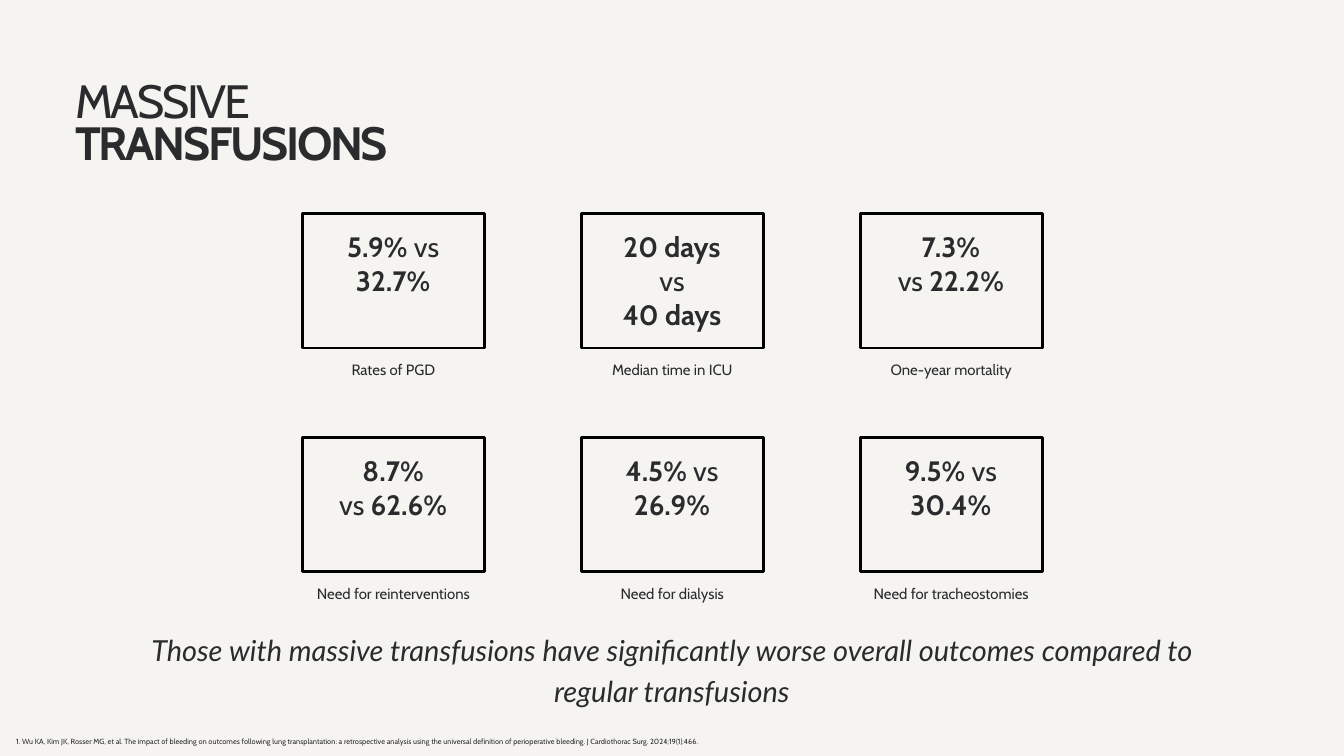
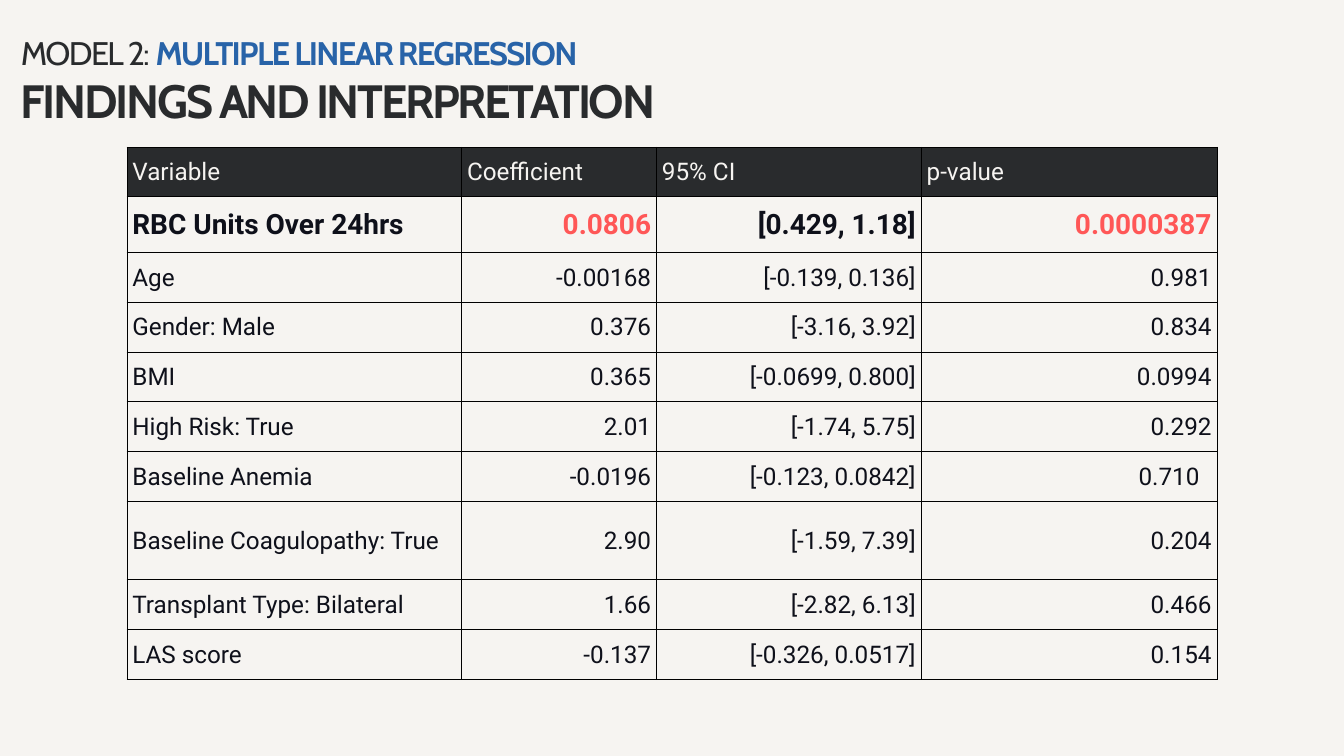
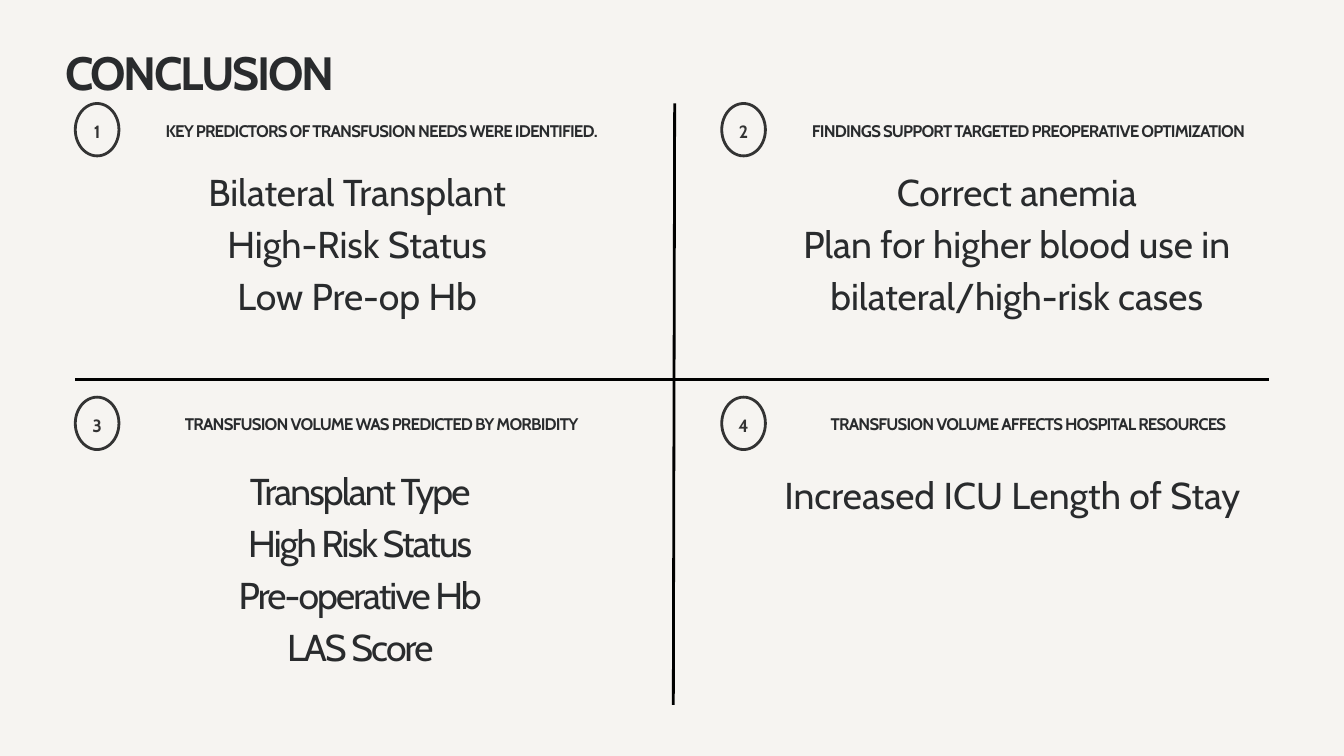
from lxml.etree import SubElement
from pptx import Presentation
from pptx.dml.color import RGBColor
from pptx.enum.shapes import MSO_CONNECTOR, MSO_SHAPE
from pptx.enum.text import MSO_ANCHOR, MSO_AUTO_SIZE, PP_ALIGN
from pptx.oxml.ns import qn
from pptx.util import Inches, Pt

PAPER = RGBColor(0xF6, 0xF4, 0xF1)
INK = RGBColor(0x29, 0x2B, 0x2D)
BLACK = RGBColor(0, 0, 0)
GREY = RGBColor(0x33, 0x33, 0x33)
NAVY = RGBColor(0x0E, 0x10, 0x1A)
RED = RGBColor(0xFF, 0x57, 0x57)
BLUE = RGBColor(0x28, 0x63, 0xA8)
LEFT, MID, RIGHT = PP_ALIGN.LEFT, PP_ALIGN.CENTER, PP_ALIGN.RIGHT

OUTCOMES = [
    ("Rates of PGD", ["*5.9%* vs *32.7%*"]),
    ("Median time in ICU", ["*20 days* vs", "*40 days*"]),
    ("One-year mortality", ["*7.3%*", "vs *22.2%*"]),
    ("Need for reinterventions", ["*8.7%*", "vs *62.6%*"]),
    ("Need for dialysis", ["*4.5%* vs *26.9%*"]),
    ("Need for tracheostomies", ["*9.5%* vs *30.4%*"]),
]

FINDINGS = [
    ("Variable", "Coefficient", "95% CI", "p-value"),
    ("RBC Units Over 24hrs", "0.0806", "[0.429, 1.18]", "0.0000387"),
    ("Age", "-0.00168", "[-0.139, 0.136]", "0.981"),
    ("Gender: Male", "0.376", "[-3.16, 3.92]", "0.834"),
    ("BMI", "0.365", "[-0.0699, 0.800]", "0.0994"),
    ("High Risk: True", "2.01", "[-1.74, 5.75]", "0.292"),
    ("Baseline Anemia", "-0.0196", "[-0.123, 0.0842]", "0.710"),
    ("Baseline Coagulopathy: True", "2.90", "[-1.59, 7.39]", "0.204"),
    ("Transplant Type: Bilateral", "1.66", "[-2.82, 6.13]", "0.466"),
    ("LAS score", "-0.137", "[-0.326, 0.0517]", "0.154"),
]

# heading, its left and width; list box; letter spacing; lines
POINTS = [
    ("KEY PREDICTORS OF TRANSFUSION NEEDS WERE IDENTIFIED.", 1.96, 7.44,
     (1.78, 2.4, 7.07, 3.06), 0,
     ["Bilateral Transplant", "High-Risk Status", "Low Pre-op Hb"]),
    ("FINDINGS SUPPORT TARGETED PREOPERATIVE OPTIMIZATION", 11.53, 7.55,
     (11.39, 2.4, 7.48, 2.28), 0,
     ["Correct anemia",
      "Plan for higher blood use in bilateral/high-risk cases"]),
    ("TRANSFUSION VOLUME WAS PREDICTED BY MORBIDITY", 2.28, 6.8,
     (1.12, 6.85, 8.48, 3.06), -2,
     ["Transplant Type", "High Risk Status", "Pre-operative Hb", "LAS Score"]),
    ("TRANSFUSION VOLUME AFFECTS HOSPITAL RESOURCES", 11.84, 6.93,
     (11.53, 6.91, 7.07, 1.51), 0,
     ["Increased ICU Length of Stay"]),
]


def write(frame, lines, size, pitch, color=INK, font="Cabin", align=LEFT,
          italic=False, track=0):
    """Fill a frame with lines, where *stars* mark bold; pitch is in points."""
    for i, line in enumerate(lines):
        para = frame.paragraphs[0] if i == 0 else frame.add_paragraph()
        para.alignment = align
        para.line_spacing = Pt(pitch)
        para.space_before = para.space_after = Pt(0)
        props = para._p.get_or_add_pPr()
        props.set("marL", "0")
        props.set("indent", "0")
        SubElement(props, qn("a:buNone"))
        for n, part in enumerate(line.split("*")):
            if not part:
                continue
            run = para.add_run()
            run.text = part
            run.font.name = font
            run.font.size = Pt(size)
            run.font.bold = n % 2 == 1
            run.font.italic = italic
            run.font.color.rgb = color
            if track:
                run._r.get_or_add_rPr().set("spc", str(round(track * 100)))


def place(shape, box):
    """Move a text shape to box and clear its margins."""
    shape.left, shape.top, shape.width, shape.height = map(Inches, box)
    frame = shape.text_frame
    frame.word_wrap = True
    frame.auto_size = MSO_AUTO_SIZE.NONE
    frame.vertical_anchor = MSO_ANCHOR.TOP
    frame.margin_left = frame.margin_right = 0
    frame.margin_top = frame.margin_bottom = 0
    return frame


def add_text(slide, box, lines, size, pitch, **style):
    frame = place(slide.shapes.add_textbox(0, 0, 0, 0), box)
    write(frame, lines, size, pitch, **style)
    return frame


def add_slide(deck, layout, box, title):
    slide = deck.slides.add_slide(deck.slide_layouts.get_by_name(layout))
    write(place(slide.shapes.title, box), title, 50, 45, track=-2.5)
    return slide


def add_frame(slide, kind, box, color):
    """Add an unfilled shape with a 3 pt outline."""
    shape = slide.shapes.add_shape(kind, *map(Inches, box))
    shape.shadow.inherit = False
    shape.fill.background()
    shape.line.color.rgb = color
    shape.line.width = Pt(3)
    return shape


def add_rule(slide, *ends):
    rule = slide.shapes.add_connector(MSO_CONNECTOR.STRAIGHT,
                                      *map(Inches, ends))
    rule.line.color.rgb = BLACK
    rule.line.width = Pt(3)
    SubElement(rule._element.spPr, qn("a:effectLst"))


def add_edges(cell):
    """Draw a thin black border round a cell."""
    props = cell._tc.get_or_add_tcPr()
    for i, side in enumerate(("lnL", "lnR", "lnT", "lnB")):
        edge = SubElement(props, qn("a:" + side), w=str(Pt(1)))
        fill = SubElement(edge, qn("a:solidFill"))
        SubElement(fill, qn("a:srgbClr"), val=str(BLACK))
        props.insert(i, edge)


def fill_cell(cell, text, row, col):
    head, key = row == 0, row == 1
    cell.vertical_anchor = MSO_ANCHOR.MIDDLE
    cell.margin_left = cell.margin_right = Inches(0.08)
    cell.margin_top = cell.margin_bottom = Inches(0.08)
    if head:
        cell.fill.solid()
        cell.fill.fore_color.rgb = INK
    else:
        cell.fill.background()
    add_edges(cell)
    color = PAPER if head else RED if key and col in (1, 3) else NAVY
    write(cell.text_frame, [f"*{text}*" if key else text],
          30 if key else 26, 36 if key else 31.2, color=color, font="Roboto",
          align=LEFT if head or col == 0 else RIGHT)


def add_findings(slide):
    widths = [4.98, 2.9, 3.94, 4.4]
    heights = [0.74] * len(FINDINGS)
    heights[1], heights[7] = 0.83, 1.17
    table = slide.shapes.add_table(
        len(heights), len(widths), Inches(1.89), Inches(2.19),
        Inches(sum(widths)), Inches(sum(heights))).table
    table.first_row = table.horz_banding = False
    for col, width in zip(table.columns, widths):
        col.width = Inches(width)
    for row, height in zip(table.rows, heights):
        row.height = Inches(height)
    for r, row in enumerate(FINDINGS):
        for c, text in enumerate(row):
            fill_cell(table.cell(r, c), text, r, c)
    table.cell(6, 3).margin_right = Inches(0.26)


def add_outcome(slide, left, top, label, lines):
    add_frame(slide, MSO_SHAPE.RECTANGLE, (left, top, 2.71, 2), BLACK)
    add_text(slide, (left + 0.47, top + 0.24, 1.76, 1.51), lines, 30, 36,
             align=MID)
    add_text(slide, (left, top + 2.14, 2.71, 0.31), [label], 16, 22.4,
             align=MID)


def add_source(slide, text):
    """Add a numbered reference at the foot of the slide."""
    frame = add_text(slide, (0.14, 10.94, 11.7, 0.17), [text], 8, 11.2)
    props = frame.paragraphs[0]._p.get_or_add_pPr()
    props.remove(props.find(qn("a:buNone")))
    props.set("marL", str(Inches(0.19)))
    props.set("indent", str(Inches(-0.09)))
    SubElement(props, qn("a:buAutoNum"), type="arabicPeriod")


def add_point(slide, num, body, point):
    head, left, width, box, track, lines = point
    row, col = divmod(num - 1, 2)
    top = 1.54 + row * 4.37
    badge = add_frame(slide, MSO_SHAPE.OVAL,
                      (1.12 + col * 9.62, top, 0.65, 0.78), GREY)
    place(badge, (1.12 + col * 9.62, top, 0.65, 0.78))
    badge.text_frame.vertical_anchor = MSO_ANCHOR.MIDDLE
    write(badge.text_frame, [f"*{num}*"], 19, 26.6, color=GREY, align=MID)
    add_text(slide, (left, top + 0.2, width, 0.34), [f"*{head}*"], 18, 25.2,
             align=MID, track=-0.9)
    write(place(body, box), lines, 40, 56, align=MID, track=track)


def build_outcomes(deck):
    slide = add_slide(deck, "Title Only", (1.12, 1.27, 7.59, 1.29),
                      ["MASSIVE", "*TRANSFUSIONS*"])
    for i, (label, lines) in enumerate(OUTCOMES):
        row, col = divmod(i, 3)
        add_outcome(slide, 4.5 + col * 4.15, 3.18 + row * 3.33, label, lines)
    add_text(slide, (2, 9.33, 15.99, 1.17),
             ["Those with massive transfusions have significantly worse "
              "overall outcomes compared to regular transfusions"],
             31, 43.4, font="Lato", align=MID, italic=True)
    add_source(slide, "Wu KA, Kim JK, Rosser MG, et al. The impact of bleeding "
               "on outcomes following lung transplantation: a retrospective "
               "analysis using the universal definition of perioperative "
               "bleeding. J Cardiothorac Surg. 2024;19(1):466.")


def build_findings(deck):
    slide = add_slide(deck, "Title Only", (0.31, 1.27, 12.24, 0.68),
                      ["*FINDINGS AND INTERPRETATION*"])
    add_findings(slide)
    model = add_text(slide, (0.31, 0.64, 19.5, 0.49),
                     ["MODEL 2: *MULTIPLE LINEAR REGRESSION*"], 35, 31.5,
                     track=-1.8)
    model.paragraphs[0].runs[1].font.color.rgb = BLUE


def build_conclusion(deck):
    slide = add_slide(deck, "Comparison", (0.97, 0.86, 12.24, 0.68),
                      ["*CONCLUSION*"])
    add_rule(slide, 1.12, 5.65, 18.88, 5.65)
    add_rule(slide, 10.02, 10.49, 10.04, 1.54)
    for num, point in enumerate(POINTS, 1):
        add_point(slide, num, slide.placeholders[num], point)


def main():
    deck = Presentation()
    deck.slide_width, deck.slide_height = Inches(20), Inches(11.25)
    paper = deck.slide_master.background.fill
    paper.solid()
    paper.fore_color.rgb = PAPER
    build_outcomes(deck)
    build_findings(deck)
    build_conclusion(deck)
    deck.save("out.pptx")


if __name__ == "__main__":
    main()
